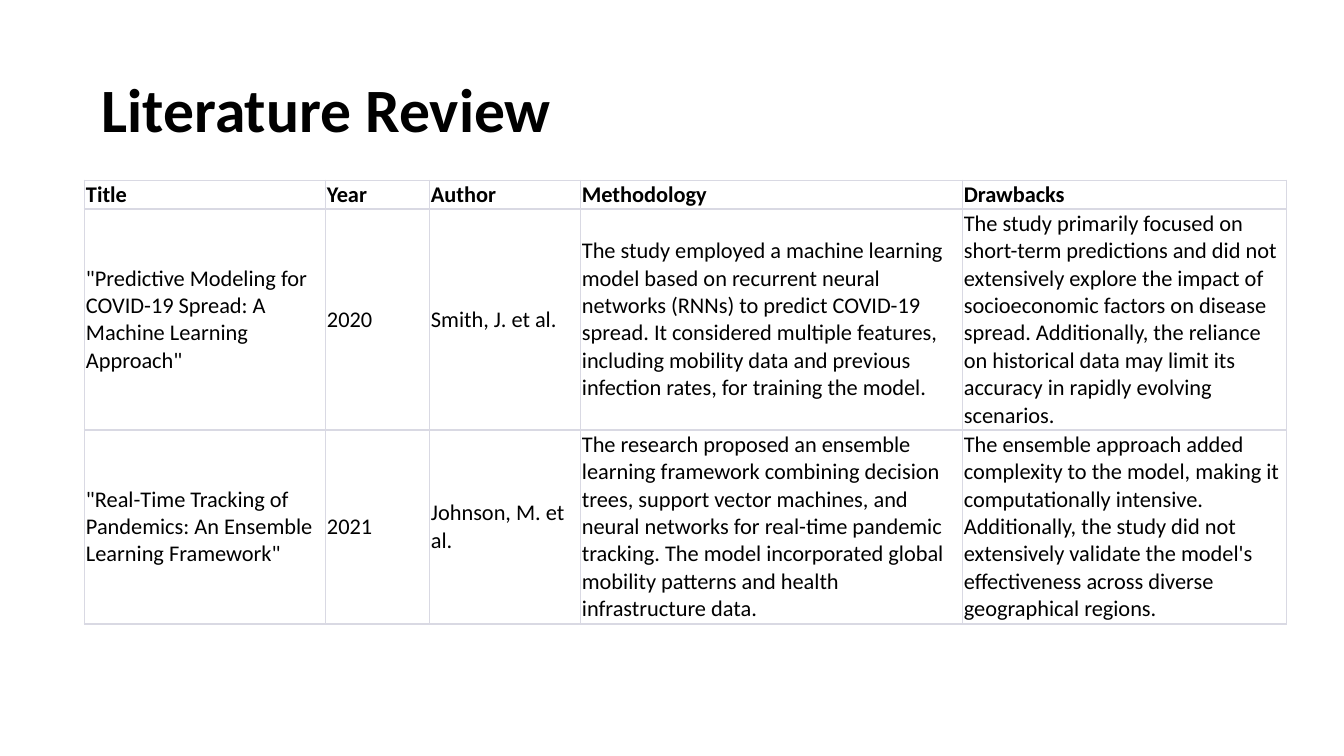
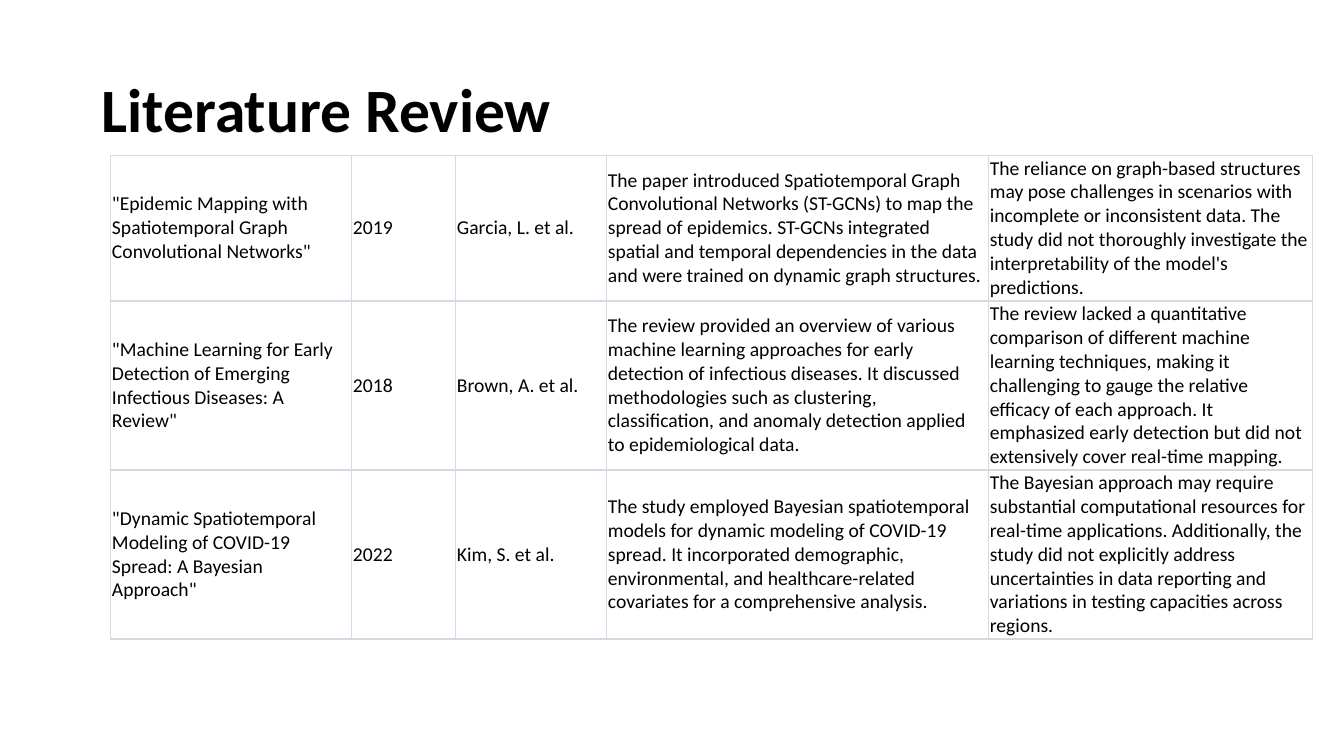
from dataclasses import dataclass
from pptx import Presentation
from pptx.dml.color import RGBColor as Rgb
from pptx.enum.text import MSO_ANCHOR as Anchor
from pptx.oxml import parse_xml
from pptx.oxml.ns import nsdecls
from pptx.util import Pt


@dataclass(frozen=True)
class Theme:
    font: str = "Calibri"
    ink: str = "000000"
    rule: str = "D9D9E3"
    title: int = 44
    thin: float = 0.6
    thick: float = 1


THEME = Theme()
WIDE, HIGH = 1344, 756
SCALE = 12192000 / WIDE
TITLE = "Literature Review"
TITLE_BOX = (92, 40, 1160, 146)
COLS = (241, 104, 151, 382, 324)
PAD_X, PAD_Y = 2, 1

# Content: one entry per slide
HEAD = ("Title", "Year", "Author", "Methodology", "Drawbacks")
PAGES = [
    dict(at=(84, 180), size=16, head=True, tall=(29, 221, 194), rows=[
        HEAD,
        ('"Predictive Modeling for COVID-19 Spread: A Machine Learning Approach"',
         "2020", "Smith, J. et al.",
         "The study employed a machine learning model based on recurrent neural "
         "networks (RNNs) to predict COVID-19 spread. It considered multiple "
         "features, including mobility data and previous infection rates, for "
         "training the model.",
         "The study primarily focused on short-term predictions and did not "
         "extensively explore the impact of socioeconomic factors on disease "
         "spread. Additionally, the reliance on historical data may limit its "
         "accuracy in rapidly evolving scenarios."),
        ('"Real-Time Tracking of Pandemics: An Ensemble Learning Framework"',
         "2021", "Johnson, M. et al.",
         "The research proposed an ensemble learning framework combining decision "
         "trees, support vector machines, and neural networks for real-time "
         "pandemic tracking. The model incorporated global mobility patterns and "
         "health infrastructure data.",
         "The ensemble approach added complexity to the model, making it "
         "computationally intensive. Additionally, the study did not extensively "
         "validate the model's effectiveness across diverse geographical regions."),
    ]),
    dict(at=(110, 155), size=14, head=False, tall=(146, 169, 169), rows=[
        ('"Epidemic Mapping with Spatiotemporal Graph Convolutional Networks"',
         "2019", "Garcia, L. et al.",
         "The paper introduced Spatiotemporal Graph Convolutional Networks "
         "(ST-GCNs) to map the spread of epidemics. ST-GCNs integrated spatial and "
         "temporal dependencies in the data and were trained on dynamic graph "
         "structures.",
         "The reliance on graph-based structures may pose challenges in scenarios "
         "with incomplete or inconsistent data. The study did not thoroughly "
         "investigate the interpretability of the model's predictions."),
        ('"Machine Learning for Early Detection of Emerging Infectious Diseases: '
         'A Review"',
         "2018", "Brown, A. et al.",
         "The review provided an overview of various machine learning approaches "
         "for early detection of infectious diseases. It discussed methodologies "
         "such as clustering, classification, and anomaly detection applied to "
         "epidemiological data.",
         "The review lacked a quantitative comparison of different machine learning "
         "techniques, making it challenging to gauge the relative efficacy of each "
         "approach. It emphasized early detection but did not extensively cover "
         "real-time mapping."),
        ('"Dynamic Spatiotemporal Modeling of COVID-19 Spread: A Bayesian Approach"',
         "2022", "Kim, S. et al.",
         "The study employed Bayesian spatiotemporal models for dynamic modeling of "
         "COVID-19 spread. It incorporated demographic, environmental, and "
         "healthcare-related covariates for a comprehensive analysis.",
         "The Bayesian approach may require substantial computational resources for "
         "real-time applications. Additionally, the study did not explicitly "
         "address uncertainties in data reporting and variations in testing "
         "capacities across regions."),
    ]),
]


def px(n):
    return round(n * SCALE)


def write(par, text, size, bold):
    run = par.add_run()
    run.text = text
    font = run.font
    font.name, font.size, font.bold = THEME.font, Pt(size), bold
    font.color.rgb = Rgb.from_string(THEME.ink)


def add_title(slide):
    frame = slide.shapes.add_textbox(*map(px, TITLE_BOX)).text_frame
    frame.word_wrap = True
    frame.vertical_anchor = Anchor.MIDDLE
    par = frame.paragraphs[0]
    par.line_spacing = 0.9
    write(par, TITLE, THEME.title, True)


def add_rules(cell, top):
    # Border lines come before the fill in the cell properties
    props = cell._tc.get_or_add_tcPr()
    sides = (("L", THEME.thin), ("R", THEME.thin), ("T", top), ("B", THEME.thick))
    for i, (side, width) in enumerate(sides):
        props.insert(i, parse_xml(
            f'<a:ln{side} {nsdecls("a")} w="{Pt(width)}"><a:solidFill>'
            f'<a:srgbClr val="{THEME.rule}"/></a:solidFill></a:ln{side}>'))


def fill_cell(cell, text, size, head, top):
    cell.margin_left = cell.margin_right = px(PAD_X)
    cell.margin_top = cell.margin_bottom = px(PAD_Y)
    cell.vertical_anchor = Anchor.BOTTOM if head else Anchor.MIDDLE
    cell.fill.background()
    add_rules(cell, top)
    write(cell.text_frame.paragraphs[0], text, size, head)


def add_grid(slide, page):
    rows, tall = page["rows"], page["tall"]
    box = (*page["at"], sum(COLS), sum(tall))
    table = slide.shapes.add_table(len(rows), len(COLS), *map(px, box)).table
    table.first_row = table.horz_banding = False
    for col, width in zip(table.columns, COLS):
        col.width = px(width)
    for r, (row, height) in enumerate(zip(rows, tall)):
        table.rows[r].height = px(height)
        head = page["head"] and r == 0
        top = THEME.thick if r else THEME.thin
        for c, text in enumerate(row):
            fill_cell(table.cell(r, c), text, page["size"], head, top)


def main():
    deck = Presentation()
    deck.slide_width, deck.slide_height = px(WIDE), px(HIGH)
    for page in PAGES:
        slide = deck.slides.add_slide(deck.slide_layouts[6])
        add_title(slide)
        add_grid(slide, page)
    deck.save("out.pptx")


if __name__ == "__main__":
    main()
